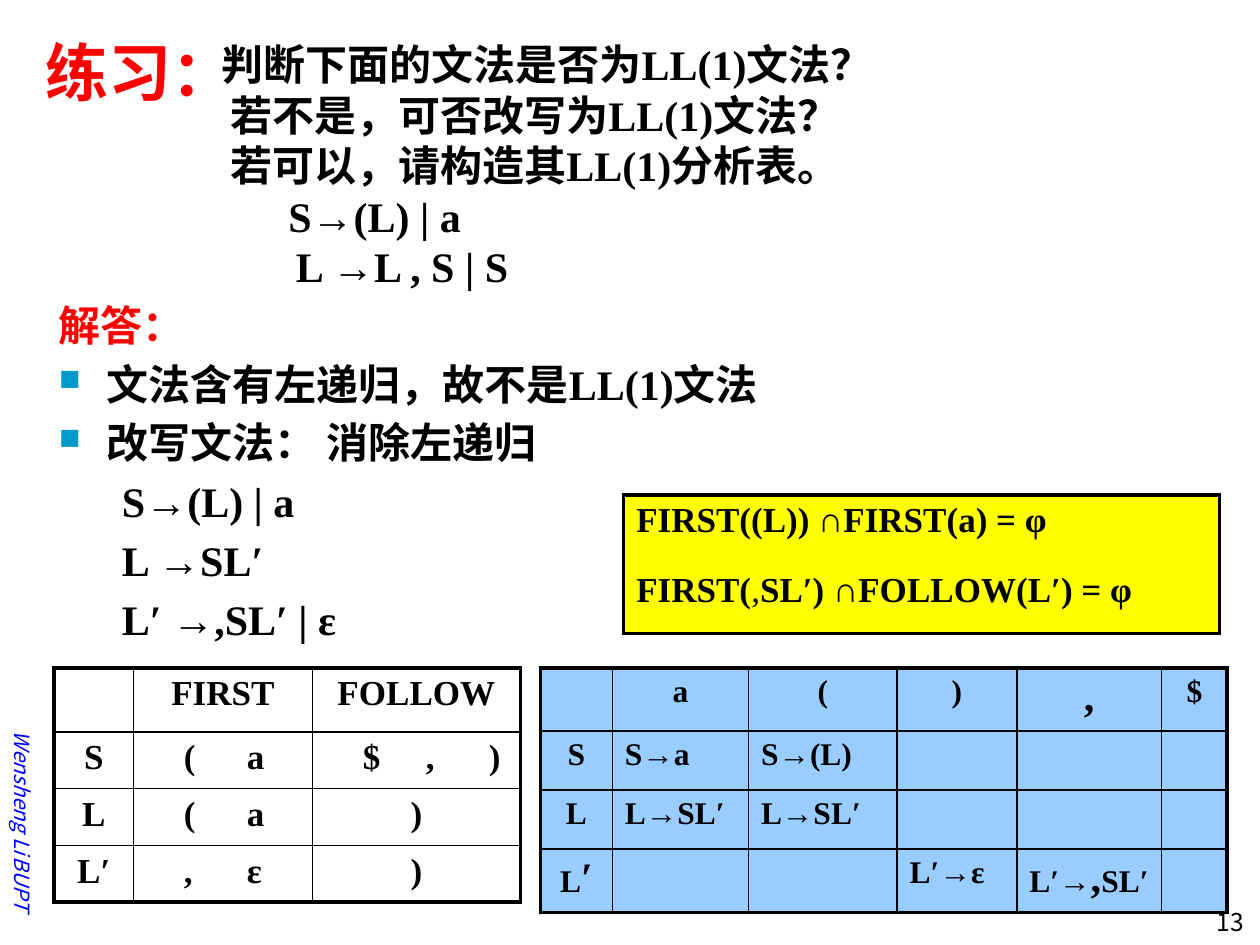
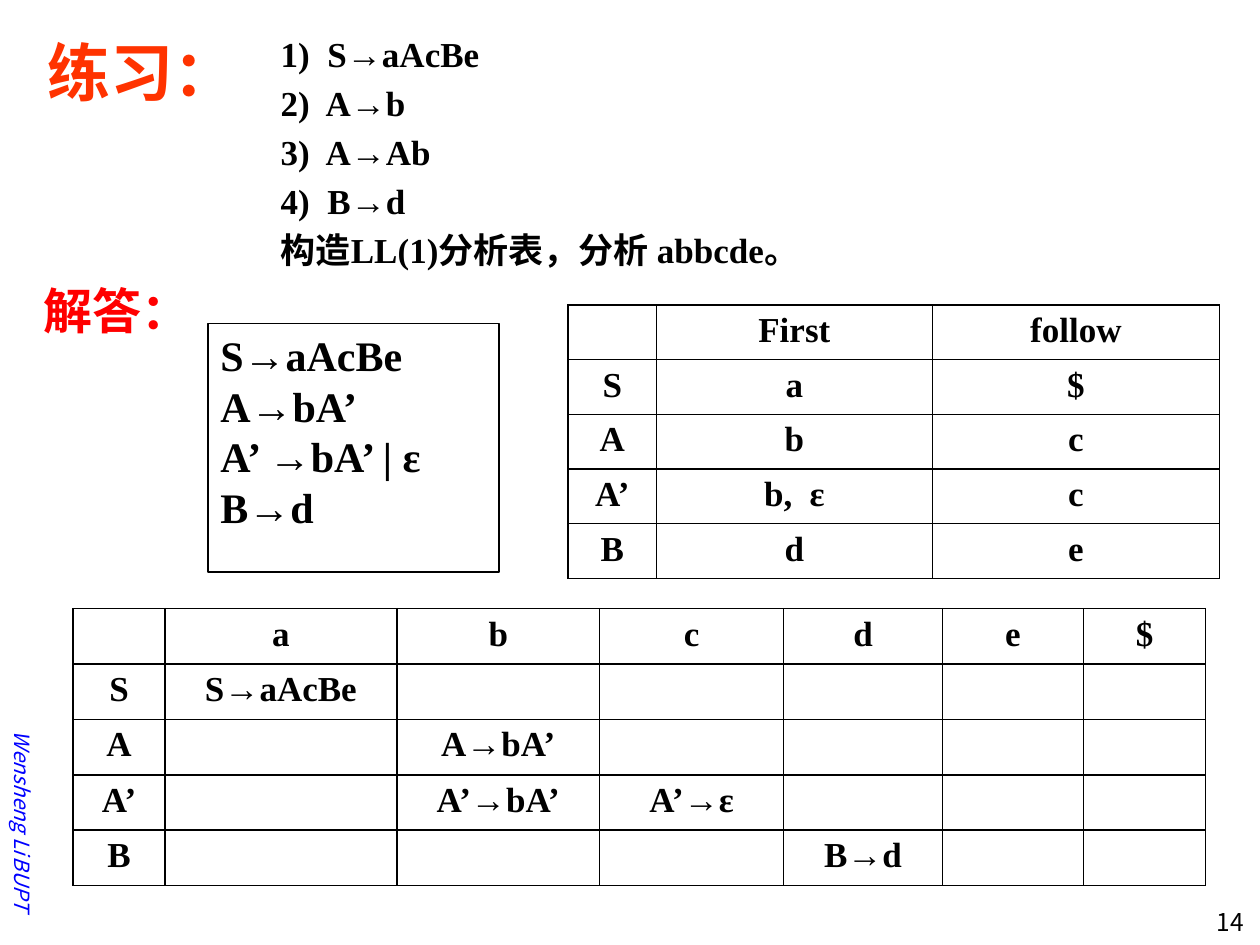
"""Builds two exercise slides on LL(1) grammars and their parsing tables."""
from lxml import etree
from pptx import Presentation
from pptx.dml.color import RGBColor
from pptx.enum.text import MSO_ANCHOR, PP_ALIGN
from pptx.oxml.ns import qn
from pptx.util import Emu, Inches, Pt

LEFT, CENTER, RIGHT = PP_ALIGN.LEFT, PP_ALIGN.CENTER, PP_ALIGN.RIGHT
TOP, MIDDLE = MSO_ANCHOR.TOP, MSO_ANCHOR.MIDDLE
BLACK = RGBColor(0x00, 0x00, 0x00)
WHITE = RGBColor(0xFF, 0xFF, 0xFF)
RED = RGBColor(0xFF, 0x00, 0x00)
ORANGE = RGBColor(0xFF, 0x33, 0x00)
BLUE = RGBColor(0x00, 0x00, 0xFF)
YELLOW = RGBColor(0xFF, 0xFF, 0x00)
SKY = RGBColor(0x99, 0xCC, 0xFF)
BULLET = RGBColor(0x00, 0x99, 0xCC)
SERIF, SANS = "Times New Roman", "Noto Sans CJK SC"
THICK, THIN = 2.25, 1


def write_text(para, text, size=24, font=SERIF, color=BLACK, bold=True, italic=False,
               align=LEFT, indent=0, before=0, leading=None, bullet=False, tabs=()):
    """Fill a paragraph from a string or from (text, size, bold) spans."""
    para.alignment = align
    para.space_before = Pt(before)
    if leading:
        para.line_spacing = Pt(leading * size)
    props = para._p.get_or_add_pPr()
    props.set("marL", str(Inches(indent)))
    props.set("indent", str(-Inches(indent) if bullet else 0))
    if bullet:
        tint = etree.SubElement(props, qn("a:buClr"))
        etree.SubElement(tint, qn("a:srgbClr"), val=str(BULLET))
        etree.SubElement(props, qn("a:buSzPct"), val="70000")
        etree.SubElement(props, qn("a:buChar"), char="■")
    if tabs:
        stops = etree.SubElement(props, qn("a:tabLst"))
        for stop in tabs:
            etree.SubElement(stops, qn("a:tab"), pos=str(Inches(stop)), algn="l")
    spans = [(text, size, bold)] if isinstance(text, str) else text
    for words, span_size, span_bold in spans:
        span = para.add_run()
        span.text = words
        span.font.name, span.font.size = font, Pt(span_size)
        span.font.bold, span.font.italic = span_bold, italic
        span.font.color.rgb = color
        etree.SubElement(span._r.get_or_add_rPr(), qn("a:ea"), typeface=SANS)


def draw_table(page, left, top, widths, heights, rows, size=20, fill=None,
               outer=THIN, inner=THIN, body_align=CENTER):
    """Draw a table with an outer frame and inner rules; tabs spread symbols in a cell."""
    table = page.shapes.add_table(
        len(heights), len(widths), Inches(left), Inches(top),
        Inches(sum(widths)), Inches(sum(heights))).table
    table.first_row = table.horz_banding = False
    for column, width in zip(table.columns, widths):
        column.width = Inches(width)
    last_row, last_column = len(heights) - 1, len(widths) - 1
    for r, row in enumerate(rows):
        table.rows[r].height = Inches(heights[r])
        for c, text in enumerate(row):
            cell = table.cell(r, c)
            if fill is None:
                cell.fill.background()
            else:
                cell.fill.solid()
                cell.fill.fore_color.rgb = fill
            spread = "\t" in text
            if spread:
                cell.margin_left = Inches(0.4)
            heading = last_column > 0 and (r == 0 or c == 0)
            align = LEFT if spread else CENTER if heading else body_align
            if text:
                write_text(cell.text_frame.paragraphs[0], text, size=size, align=align,
                           tabs=(0.43, 0.78) if spread else ())
            edges = {"lnL": c == 0, "lnR": c == last_column,
                     "lnT": r == 0, "lnB": r == last_row}
            for place, (side, is_outer) in enumerate(edges.items()):
                weight = outer if is_outer else inner
                line = etree.Element(qn("a:" + side), w=str(Pt(weight)))
                if weight:
                    paint = etree.SubElement(line, qn("a:solidFill"))
                    etree.SubElement(paint, qn("a:srgbClr"), val=str(BLACK))
                else:
                    etree.SubElement(line, qn("a:noFill"))
                cell._tc.get_or_add_tcPr().insert(place, line)


deck = Presentation()
deck.slide_width, deck.slide_height = Inches(10), Inches(7.5)
grammar_page, parsing_page = [deck.slides.add_slide(deck.slide_layouts[6]) for _ in range(2)]

body = {"leading": 1.2}
spaced = {"leading": 1.2, "before": 4.8}
numbered = {"leading": 1.2, "size": 20, "indent": 1.88}
point = {**spaced, "indent": 0.38, "bullet": True}
rule = {**spaced, "indent": 0.5}
next_number = {**numbered, "before": 4}

exercise = [
    ("判断下面的文法是否为LL(1)文法？", {**body, "indent": 1.29}),
    ("若不是，可否改写为LL(1)文法？", {**body, "indent": 1.36}),
    ("若可以，请构造其LL(1)分析表。", {**body, "indent": 1.36}),
    ("S→(L) | a", {**body, "indent": 1.82}),
    ("L →L , S | S", {**body, "indent": 1.88}),
    ("解答：", {**spaced, "color": RED}),
    ("文法含有左递归，故不是LL(1)文法", point),
    ("改写文法： 消除左递归", point),
    ("S→(L) | a", rule),
    ("L →SL′", rule),
    ("L′ →,SL′ | ε", rule),
]
productions = [
    ("1)  S→aAcBe", numbered),
    ("2)  A→b", next_number),
    ("3)  A→Ab", next_number),
    ("4)  B→d", next_number),
    ("构造LL(1)分析表，分析 abbcde。", next_number),
    ("解答：", {"leading": 1.2, "before": 5.6, "size": 28, "color": RED}),
]
rewritten = [(text, body) for text in ("S→aAcBe", "A→bA’", "A’ →bA’ | ε", "B→d")]

boxes = [
    (grammar_page, (0.37, 0.26, 9.4, 4.72), TOP, exercise),
    (parsing_page, (0.25, 0.21, 7.87, 5.67), TOP, productions),
    (parsing_page, (1.65, 2.57, 2.31, 1.97), TOP, rewritten),
]
for page, number, left, color in ((grammar_page, "13", 0.26, RED),
                                  (parsing_page, "14", 0.28, ORANGE)):
    boxes.append((page, (left, 0.17, 9.42, 0.79), MIDDLE,
                  [("练习：", {"size": 36, "color": color})]))
    boxes.append((page, (9.18, 7.15, 0.79, 0.3), TOP,
                  [(number, {"size": 14, "font": SANS, "bold": False, "align": RIGHT})]))
    author = page.shapes.add_textbox(Inches(-0.67), Inches(6.5), Inches(1.7), Inches(0.3))
    author.rotation = 90
    frame = author.text_frame
    frame.word_wrap, frame.vertical_anchor = True, MIDDLE
    frame.margin_left = frame.margin_right = Emu(0)
    write_text(frame.paragraphs[0], "Wensheng Li\tBUPT", size=12, font=SANS, color=BLUE,
               bold=False, italic=True, tabs=(1.15,))

for page, bounds, anchor, lines in boxes:
    box = page.shapes.add_textbox(*[Inches(length) for length in bounds])
    if lines is rewritten:
        box.line.color.rgb, box.line.width = BLACK, Pt(0.75)
    frame = box.text_frame
    frame.word_wrap, frame.vertical_anchor = True, anchor
    for index, (text, style) in enumerate(lines):
        para = frame.add_paragraph() if index else frame.paragraphs[0]
        write_text(para, text, **style)

draw_table(
    grammar_page, 4.29, 5.3, [0.57, 1.08, 1.18, 0.95, 1.15, 0.52], [0.47] * 4,
    [["", "a", "(", ")", [(",", 24, True)], "$"],
     ["S", "S→a", "S→(L)", "", "", ""],
     ["L", "L→SL′", "L→SL′", "", "", ""],
     [[("L", 18, True), ("′", 24, True)], "", "", "L′→ε",
      [("L′→", 18, True), (",", 24, True), ("SL′", 18, True)], ""]],
    size=18, fill=SKY, outer=THICK, body_align=LEFT)
draw_table(
    grammar_page, 0.43, 5.3, [0.63, 1.42, 1.65], [0.51] + [0.45] * 3,
    [["", "FIRST", "FOLLOW"],
     ["S", "(\ta", "$\t,\t)"],
     ["L", "(\ta", ")"],
     ["L′", ",\tε", ")"]],
    outer=THICK)
draw_table(
    grammar_page, 4.95, 3.93, [4.73], [0.55] * 2,
    [["FIRST((L)) ∩FIRST(a) = φ"],
     [[("FIRST(", 20, True), (",", 20, False), ("SL′) ∩FOLLOW(L′) = φ", 20, True)]]],
    fill=YELLOW, outer=THICK, inner=0, body_align=LEFT)
draw_table(
    parsing_page, 4.51, 2.42, [0.7, 2.19, 2.28], [0.41] * 5,
    [["", "First", "follow"],
     ["S", "a", "$"],
     ["A", "b", "c"],
     ["A’", "b,  ε", "c"],
     ["B", "d", "e"]],
    fill=WHITE)
draw_table(
    parsing_page, 0.58, 4.83, [0.73, 1.84, 1.61, 1.46, 1.26, 1.12, 0.97], [0.44] * 5,
    [["", "a", "b", "c", "d", "e", "$"],
     ["S", "S→aAcBe", "", "", "", "", ""],
     ["A", "", "A→bA’", "", "", "", ""],
     ["A’", "", "A’→bA’", "A’→ε", "", "", ""],
     ["B", "", "", "", "B→d", "", ""]])

deck.save("out.pptx")
